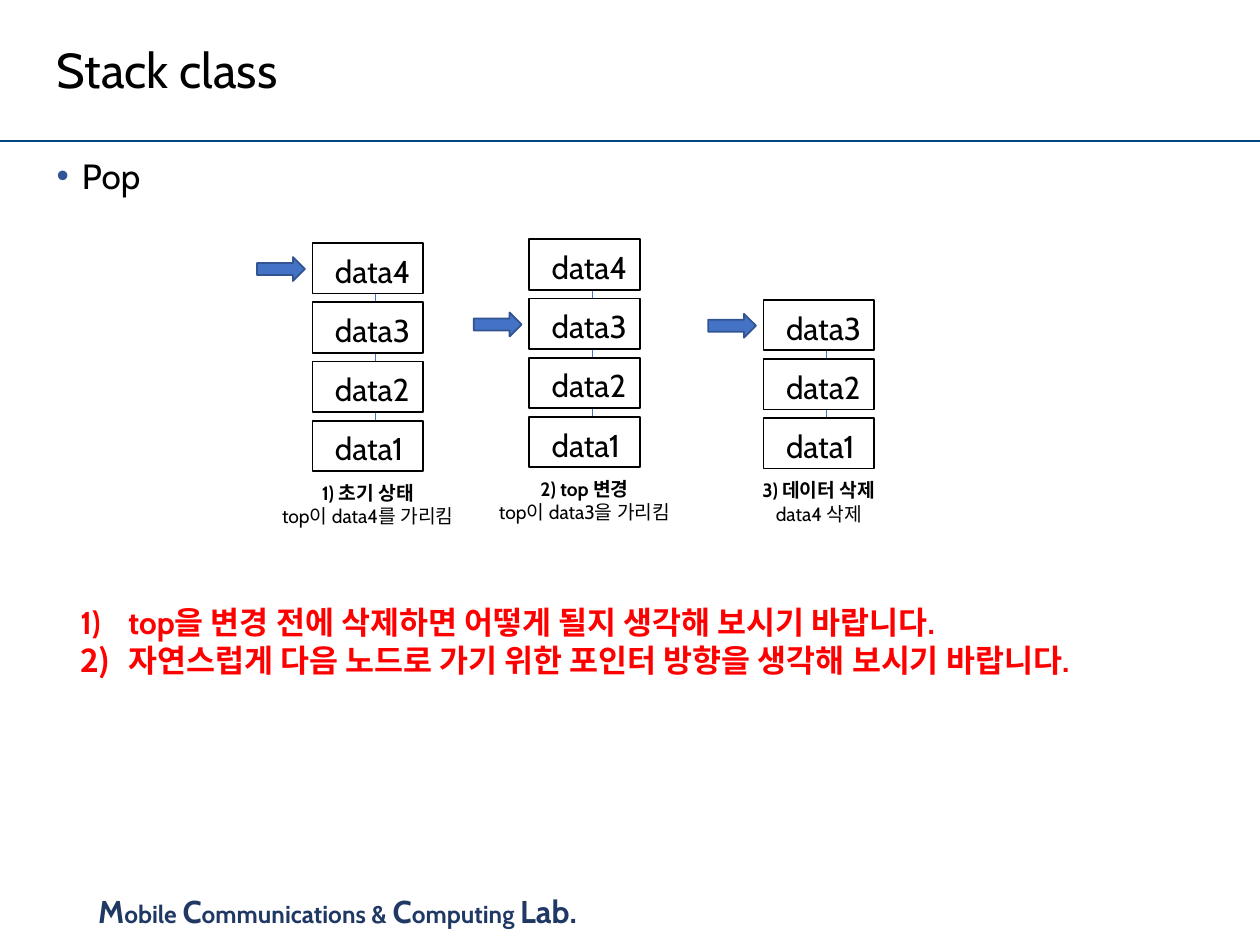
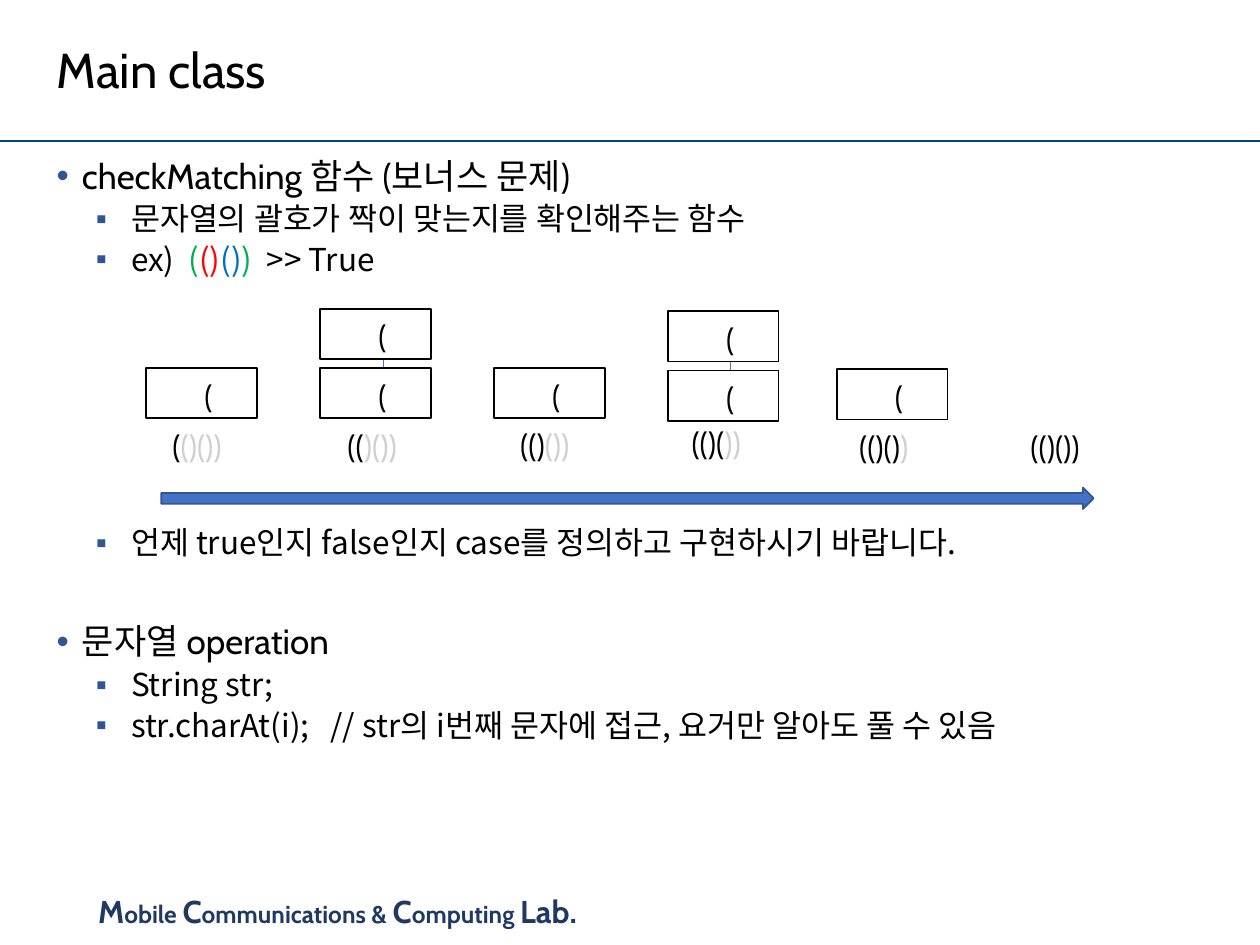
from lxml import etree
from pptx import Presentation
from pptx.dml.color import RGBColor
from pptx.enum.shapes import MSO_CONNECTOR, MSO_SHAPE
from pptx.enum.text import MSO_ANCHOR, MSO_AUTO_SIZE, PP_ALIGN
from pptx.oxml.ns import qn
from pptx.util import Inches, Pt

COLORS = {
    "black": "000000", "white": "FFFFFF", "red": "FF0000", "green": "00B050",
    "blue": "0070C0", "pending": "D0CECE", "accent": "4472C4",
    "accent_edge": "325491", "rule": "00467F", "footer": "203864",
    "bullet": "2F5597",
}
LATIN, KOREAN = "Cabin", "Noto Sans CJK KR"
CELL_W, CELL_H, CELL_STEP = 0.88, 0.4, 0.47
LEVELS = [
    {"size": 20, "font": LATIN, "bullet": "•", "margin": 0.2, "before": 7.5},
    {"size": 18, "font": KOREAN, "bullet": "▪", "margin": 0.59, "before": 3.8},
]


def rgb(name):
    return RGBColor.from_string(COLORS[name])


def box(left, top, width, height):
    return [Inches(value) for value in (left, top, width, height)]


def add_runs(paragraph, runs, size=18, font=LATIN, color="black", bold=False):
    """Add a string, or (text, overrides) pairs, to a paragraph."""
    if isinstance(runs, str):
        runs = [(runs, {})]
    for text, changes in runs:
        style = {"size": size, "color": color, "bold": bold, **changes}
        run = paragraph.add_run()
        run.text = text
        run.font.name = font
        run.font.size = Pt(style["size"])
        run.font.bold = style["bold"]
        run.font.color.rgb = rgb(style["color"])
        east_asian = etree.Element(qn("a:ea"), typeface=KOREAN)
        run.font._element.find(qn("a:latin")).addnext(east_asian)


def next_paragraph(frame, index):
    return frame.paragraphs[0] if index == 0 else frame.add_paragraph()


def indent(paragraph, margin, hanging):
    properties = paragraph._p.get_or_add_pPr()
    properties.set("marL", str(Inches(margin)))
    properties.set("indent", str(-Inches(hanging)))
    return properties


def add_text(slide, place, lines, align=PP_ALIGN.LEFT, wrap=False,
             numbered=False, **style):
    frame = slide.shapes.add_textbox(*box(*place)).text_frame
    frame.word_wrap = wrap
    frame.auto_size = MSO_AUTO_SIZE.SHAPE_TO_FIT_TEXT
    for index, runs in enumerate(lines):
        paragraph = next_paragraph(frame, index)
        paragraph.alignment = align
        if numbered:
            properties = indent(paragraph, 0.38, 0.38)
            etree.SubElement(properties, qn("a:buAutoNum"), type="arabicParenR")
        add_runs(paragraph, runs, **style)


def add_line(slide, start, end, color, weight):
    line = slide.shapes.add_connector(
        MSO_CONNECTOR.STRAIGHT, *[Inches(value) for value in (*start, *end)])
    line.line.color.rgb = rgb(color)
    line.line.width = Pt(weight)
    etree.SubElement(line._element.spPr, qn("a:effectLst"))


def add_shape(slide, preset, place, fill, edge):
    shape = slide.shapes.add_shape(preset, *box(*place))
    shape.shadow.inherit = False
    shape.fill.solid()
    shape.fill.fore_color.rgb = rgb(fill)
    shape.line.color.rgb = rgb(edge)
    shape.line.width = Pt(1)


def add_arrow(slide, *place):
    add_shape(slide, MSO_SHAPE.RIGHT_ARROW, place, "accent", "accent_edge")


def add_stack(slide, left, bottom, labels, label_left, label_width,
              align=PP_ALIGN.LEFT):
    """Draw linked cells upward from the cell whose top edge is at bottom."""
    if len(labels) > 1:
        link_x = left + 0.5
        top = bottom - CELL_STEP * (len(labels) - 1)
        add_line(slide, (link_x, top), (link_x, bottom + CELL_H), "accent", 0.5)
    for level, label in enumerate(labels):
        top = bottom - CELL_STEP * level
        add_shape(slide, MSO_SHAPE.RECTANGLE, (left, top, CELL_W, CELL_H),
                  "white", "black")
        add_text(slide, (left + label_left, top + 0.02, label_width, 0.4),
                 [label], align=align)


def fill_body(body, items):
    """Write (level, runs) or (level, runs, space before) items as bullets."""
    frame = body.text_frame
    frame.auto_size = MSO_AUTO_SIZE.NONE
    for index, (level, runs, *gap) in enumerate(items):
        look = LEVELS[level]
        paragraph = next_paragraph(frame, index)
        paragraph.level = level
        paragraph.line_spacing = 0.9
        paragraph.space_before = Pt(gap[0] if gap else look["before"])
        properties = indent(paragraph, look["margin"], 0.28)
        bullet_color = etree.SubElement(properties, qn("a:buClr"))
        etree.SubElement(bullet_color, qn("a:srgbClr"), val=COLORS["bullet"])
        etree.SubElement(properties, qn("a:buFont"), typeface="Arial")
        etree.SubElement(properties, qn("a:buChar"), char=look["bullet"])
        add_runs(paragraph, runs, size=look["size"], font=look["font"])


def add_footer(slide):
    small = {"size": 14}
    lab_name = [("M", {}), ("obile ", small), ("C", {}),
                ("ommunications & ", small), ("C", {}), ("omputing ", small),
                ("Lab.", {})]
    add_text(slide, (0.68, 7.03, 4.53, 0.4), [lab_name], wrap=True,
             color="footer", bold=True)


def add_slide(deck, heading, items):
    slide = deck.slides.add_slide(deck.slide_layouts[1])
    title, body = slide.shapes.title, slide.placeholders[1]
    title.left, title.top, title.width, title.height = box(0.35, 0.14, 9.31, 0.88)
    body.left, body.top, body.width, body.height = box(0.35, 1.21, 9.31, 5.44)
    title.text_frame.auto_size = MSO_AUTO_SIZE.NONE
    title.text_frame.vertical_anchor = MSO_ANCHOR.MIDDLE
    paragraph = title.text_frame.paragraphs[0]
    paragraph.alignment = PP_ALIGN.LEFT
    paragraph.line_spacing = 0.9
    add_runs(paragraph, heading, size=28)
    fill_body(body, items)
    add_line(slide, (0, 1.12), (10, 1.12), "rule", 1.5)
    add_footer(slide)
    return slide


def build_pop_slide(deck):
    slide = add_slide(deck, "Stack class", [(0, "Pop")])
    # left, top of lowest cell, number of cells, cell that top points to, caption
    steps = [
        (2.48, 3.34, 4, 4, "1) 초기 상태", "top이 data4를 가리킴"),
        (4.2, 3.31, 4, 3, "2) top 변경", "top이 data3을 가리킴"),
        (6.06, 3.32, 3, 3, "3) 데이터 삭제", "data4 삭제"),
    ]
    caption_width = 1.7
    for left, bottom, count, pointed, state, detail in steps:
        labels = [f"data{number}" for number in range(1, count + 1)]
        add_stack(slide, left, bottom, labels, 0.08, 0.84)
        pointed_top = bottom - CELL_STEP * (pointed - 1)
        add_arrow(slide, left - 0.44, pointed_top + 0.11, 0.38, 0.19)
        caption_left = left + (CELL_W - caption_width) / 2
        add_text(slide, (caption_left, bottom + 0.43, caption_width, 0.47),
                 [[(state, {"bold": True})], detail],
                 align=PP_ALIGN.CENTER, size=11)
    add_text(slide, (0.54, 4.74, 8.93, 0.71),
             ["top을 변경 전에 삭제하면 어떻게 될지 생각해 보시기 바랍니다.",
              "자연스럽게 다음 노드로 가기 위한 포인터 방향을 생각해 보시기 바랍니다."],
             numbered=True, color="red", bold=True)


def build_matching_slide(deck):
    example = [("ex)  ", {}), ("(", {"color": "green"}), ("()", {"color": "red"}),
               ("()", {"color": "blue"}), (")  ", {"color": "green"}),
               (">> True", {})]
    slide = add_slide(deck, "Main class", [
        (0, "checkMatching 함수 (보너스 문제)"),
        (1, "문자열의 괄호가 짝이 맞는지를 확인해주는 함수"),
        (1, example),
        (1, "언제 true인지 false인지 case를 정의하고 구현하시기 바랍니다.", 142.7),
        (0, "문자열 operation", 36),
        (1, "String str;"),
        (1, "str.charAt(i);   // str의 i번째 문자에 접근, 요거만 알아도 풀 수 있음"),
    ])
    brackets = "(()())"
    # stack left, top of lowest cell, stack depth, text left, text top
    steps = [
        (1.16, 2.92, 1, 1.27, 3.34), (2.54, 2.92, 2, 2.66, 3.34),
        (3.92, 2.92, 1, 4.03, 3.33), (5.3, 2.94, 2, 5.39, 3.32),
        (6.64, 2.93, 1, 6.72, 3.35), (8, 2.93, 0, 8.08, 3.35),
    ]
    for read, (left, bottom, depth, text_left, text_top) in enumerate(steps, 1):
        add_stack(slide, left, bottom, ["("] * depth, 0.35, 0.29,
                  align=PP_ALIGN.CENTER)
        progress = [(brackets[:read], {})]
        if read < len(brackets):
            progress.append((brackets[read:], {"color": "pending"}))
        add_text(slide, (text_left, text_top, 0.76, 0.4), [progress])
    add_arrow(slide, 1.28, 3.87, 7.4, 0.17)


def main():
    deck = Presentation()
    deck.slide_width, deck.slide_height = Inches(10), Inches(7.5)
    build_pop_slide(deck)
    build_matching_slide(deck)
    deck.save("out.pptx")


if __name__ == "__main__":
    main()
